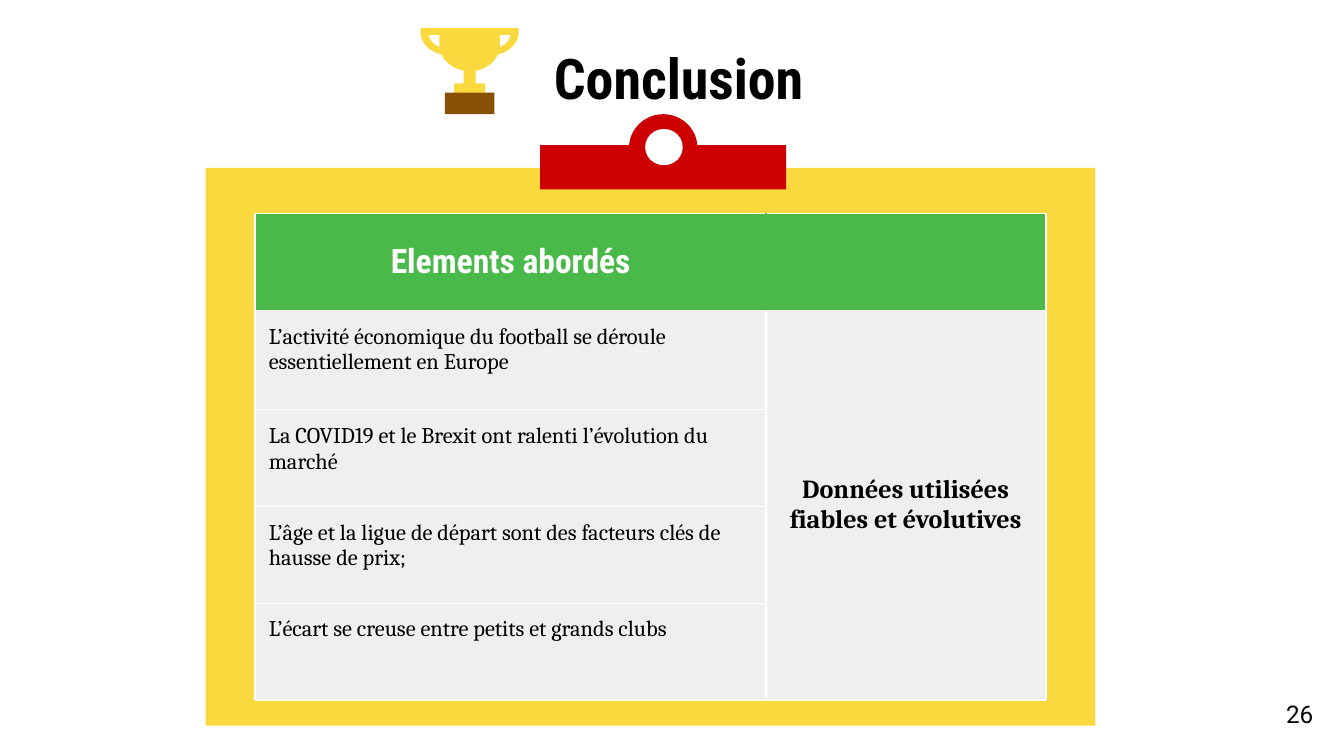
from dataclasses import dataclass

from lxml import etree
from pptx import Presentation
from pptx.dml.color import RGBColor
from pptx.enum import shapes, text
from pptx.oxml.ns import qn
from pptx.util import Inches, Pt

YELLOW, RED, GREEN, BROWN = "F9D93D", "CC0000", "49BA49", "8A4F07"
WHITE, BLACK, GREY = "FFFFFF", "000000", "EFEFEF"
CURVE_STEPS = 12


@dataclass
class Block:
    kind: shapes.MSO_SHAPE
    left: float
    top: float
    width: float
    height: float
    color: str
    adjustments: tuple = ()


@dataclass
class Style:
    size: float
    font: str
    color: str = BLACK
    bold: bool = False
    align: text.PP_ALIGN = text.PP_ALIGN.LEFT
    anchor: text.MSO_ANCHOR = text.MSO_ANCHOR.TOP


def rgb(color: str) -> RGBColor:
    return RGBColor.from_string(color)


def paint(shape, color: str) -> None:
    shape.shadow.inherit = False
    shape.fill.solid()
    shape.fill.fore_color.rgb = rgb(color)
    shape.line.fill.background()


def add_block(slide, block: Block) -> None:
    shape = slide.shapes.add_shape(
        block.kind, Inches(block.left), Inches(block.top),
        Inches(block.width), Inches(block.height))
    for index, value in enumerate(block.adjustments):
        shape.adjustments[index] = value
    paint(shape, block.color)


def curve(*controls: tuple) -> list:
    points = []
    for step in range(CURVE_STEPS + 1):
        t = step / CURVE_STEPS
        weights = ((1 - t) ** 3, 3 * t * (1 - t) ** 2, 3 * t * t * (1 - t), t ** 3)
        points.append(tuple(sum(w * c[axis] for w, c in zip(weights, controls))
                            for axis in (0, 1)))
    return points


def add_outline(slide, contours: list, color: str) -> None:
    first, *others = [[(Inches(x), Inches(y)) for x, y in contour]
                      for contour in contours]
    builder = slide.shapes.build_freeform(*first[0])
    builder.add_line_segments(first[1:], close=True)
    for contour in others:
        builder.move_to(*contour[0])
        builder.add_line_segments(contour[1:], close=True)
    paint(builder.convert_to_shape(), color)


def format_frame(frame, content: str, style: Style) -> None:
    frame.text = content
    paragraph = frame.paragraphs[0]
    paragraph.alignment = style.align
    for run in paragraph.runs:
        run.font.size = Pt(style.size)
        run.font.name = style.font
        run.font.bold = style.bold
        run.font.color.rgb = rgb(style.color)


def set_margins(target) -> None:
    for side in ("left", "top", "right", "bottom"):
        setattr(target, f"margin_{side}", Inches(0.1))


def add_label(slide, left: float, top: float, width: float, height: float,
              content: str, style: Style):
    frame = slide.shapes.add_textbox(
        Inches(left), Inches(top), Inches(width), Inches(height)).text_frame
    frame.word_wrap = True
    frame.vertical_anchor = style.anchor
    set_margins(frame)
    format_frame(frame, content, style)
    return frame


def fill_cell(cell, content: str, style: Style, color: str,
              hidden_side: str = "") -> None:
    set_margins(cell)
    cell.vertical_anchor = style.anchor
    if content:
        format_frame(cell.text_frame, content, style)
    properties = cell._tc.get_or_add_tcPr()
    for side in ("lnL", "lnR", "lnT", "lnB"):
        border = etree.SubElement(properties, qn(f"a:{side}"), w=str(Pt(0.75)))
        solid = etree.SubElement(border, qn("a:solidFill"))
        etree.SubElement(solid, qn("a:srgbClr"),
                         val=color if side == hidden_side else WHITE)
    cell.fill.solid()
    cell.fill.fore_color.rgb = rgb(color)


def add_trophy(slide) -> None:
    inner = (curve((3.8, 0.26), (3.79, 0.32), (3.73, 0.36), (3.66, 0.36))
             + curve((3.33, 0.36), (3.26, 0.36), (3.2, 0.32), (3.19, 0.26)))
    outer = ([(3.13, 0.21)]
             + curve((3.13, 0.24), (3.13, 0.33), (3.22, 0.41), (3.33, 0.41))
             + curve((3.66, 0.41), (3.77, 0.41), (3.86, 0.33), (3.86, 0.24))
             + [(3.86, 0.21)])
    cup = ([(3.27, 0.21)]
           + curve((3.27, 0.34), (3.27, 0.44), (3.37, 0.53), (3.5, 0.53))
           + curve((3.5, 0.53), (3.62, 0.53), (3.72, 0.44), (3.72, 0.34))
           + [(3.72, 0.21)])
    add_outline(slide, [inner, outer], YELLOW)
    add_outline(slide, [cup], YELLOW)
    rectangle = shapes.MSO_SHAPE.RECTANGLE
    for part in (Block(rectangle, 3.45, 0.44, 0.09, 0.2, YELLOW),
                 Block(rectangle, 3.38, 0.62, 0.23, 0.08, YELLOW),
                 Block(rectangle, 3.31, 0.69, 0.37, 0.16, BROWN)):
        add_block(slide, part)


def add_clipboard(slide) -> None:
    kinds = shapes.MSO_SHAPE
    for part in (Block(kinds.RECTANGLE, 1.53, 1.25, 6.62, 4.15, YELLOW),
                 Block(kinds.RECTANGLE, 1.89, 1.59, 5.9, 3.62, WHITE),
                 Block(kinds.RECTANGLE, 4.02, 1.08, 1.83, 0.33, RED),
                 Block(kinds.PIE, 4.68, 0.85, 0.51, 0.5, RED, (108, 0)),
                 Block(kinds.OVAL, 4.8, 0.96, 0.28, 0.27, WHITE)):
        add_block(slide, part)


def add_findings(slide) -> None:
    findings = (
        "L’activité économique du football se déroule essentiellement en Europe",
        "La COVID19 et le Brexit ont ralenti l’évolution du marché",
        "L’âge et la ligue de départ sont des facteurs clés de hausse de prix;",
        "L’écart se creuse entre petits et grands clubs",
    )
    widths, heights = (3.8, 0.54, 0.55, 0.42, 0.57), (0.72, 0.74, 0.72, 0.72, 0.72)
    last_column = len(widths) - 1
    center, middle = text.PP_ALIGN.CENTER, text.MSO_ANCHOR.MIDDLE
    heading = Style(18, "Roboto Condensed", WHITE, True, center, middle)
    finding_style = Style(12, "Cambria")
    verdict = Style(14, "Cambria", BLACK, True, center, middle)

    table = slide.shapes.add_table(
        len(heights), len(widths), Inches(1.9), Inches(1.59),
        Inches(sum(widths)), Inches(sum(heights))).table
    for column, width in zip(table.columns, widths):
        column.width = Inches(width)
    for row, height in zip(table.rows, heights):
        row.height = Inches(height)
    table.cell(0, 1).merge(table.cell(0, last_column))
    table.cell(1, 1).merge(table.cell(len(findings), last_column))
    fill_cell(table.cell(0, 0), "Elements abordés", heading, GREEN, "lnR")
    fill_cell(table.cell(0, 1), "", heading, GREEN, "lnL")
    for index, finding in enumerate(findings, start=1):
        fill_cell(table.cell(index, 0), finding, finding_style, GREY)
    fill_cell(table.cell(1, 1), "Données utilisées fiables et évolutives",
              verdict, GREY)


def main() -> None:
    deck = Presentation()
    deck.slide_width = Inches(10)
    deck.slide_height = deck.slide_width * 9 // 16
    slide = deck.slides.add_slide(deck.slide_layouts[6])
    add_label(slide, 9.27, 5.1, 0.6, 0.43, "26",
              Style(13, "Roboto", align=text.PP_ALIGN.RIGHT,
                    anchor=text.MSO_ANCHOR.MIDDLE))
    add_trophy(slide)
    title = add_label(slide, 0.83, 0.44, 8.44, 0.45, "Conclusion",
                      Style(30, "Roboto Condensed", bold=True,
                            align=text.PP_ALIGN.CENTER))
    title.paragraphs[0].line_spacing = 0.5
    add_clipboard(slide)
    add_findings(slide)
    deck.save("out.pptx")


if __name__ == "__main__":
    main()
